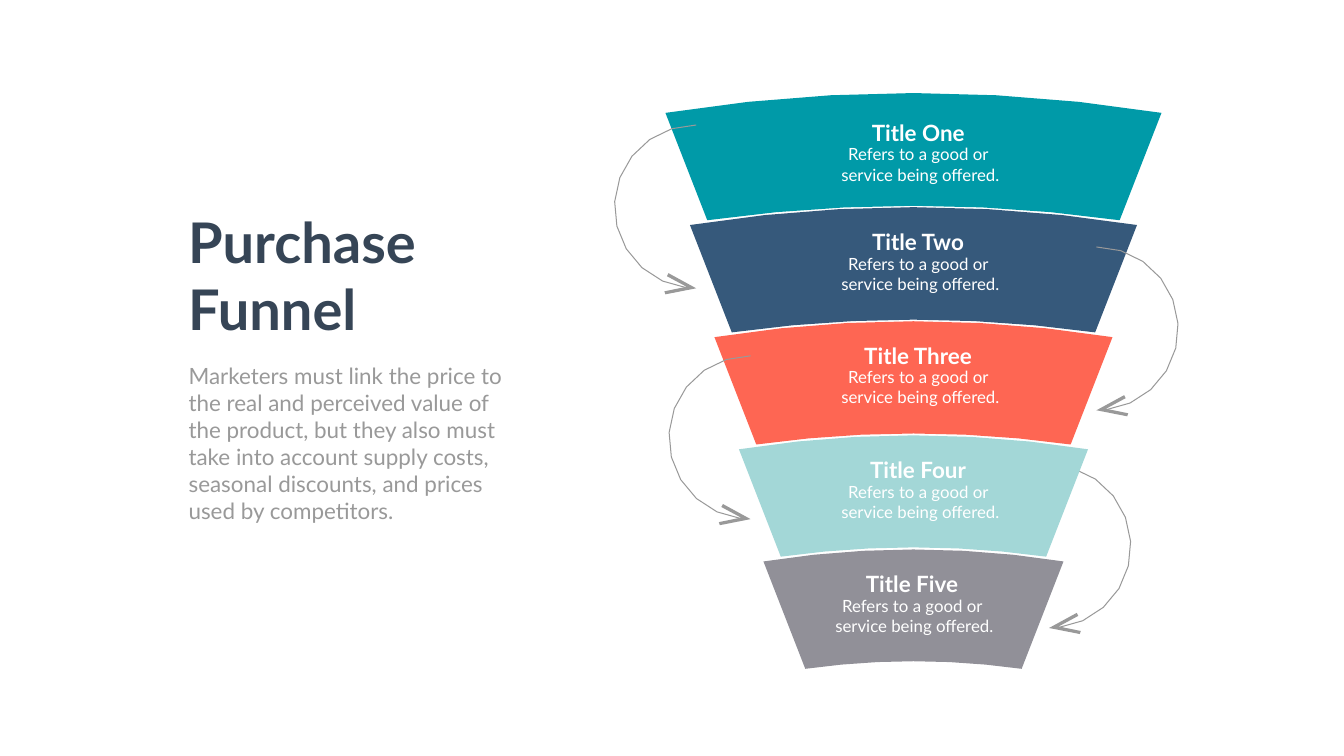
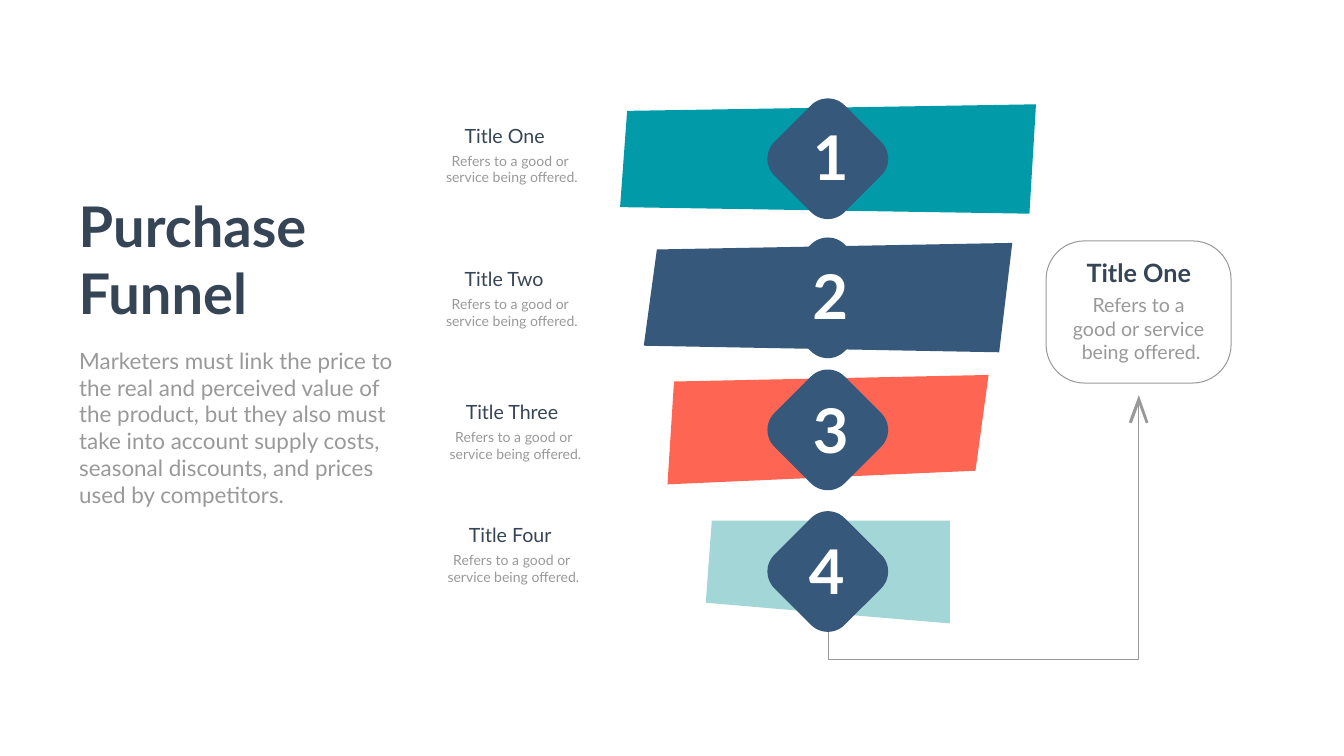
from math import cos, radians, sin

from lxml import etree
from pptx import Presentation
from pptx.dml.color import RGBColor
from pptx.enum.shapes import MSO_SHAPE
from pptx.enum.text import MSO_ANCHOR, MSO_AUTO_SIZE, PP_ALIGN
from pptx.oxml.ns import qn
from pptx.util import Inches, Pt

ROUND = MSO_SHAPE.ROUNDED_RECTANGLE
TOP, FIXED = MSO_ANCHOR.TOP, MSO_AUTO_SIZE.NONE
LEFT, MID, RIGHT = PP_ALIGN.LEFT, PP_ALIGN.CENTER, PP_ALIGN.RIGHT

# Shared look: the grid is 26.66 columns by 15 rows of one-inch cells
COLS, ROWS, CELL = 26.66, 15, Inches(1)
FONT, THIN = "Lato", Pt(1.45)
HUES = {
    "teal": "009AA8", "navy": "36597B", "coral": "FE6653", "mint": "A3D7D7",
    "stone": "919098", "ink": "364556", "gray": "999999", "white": "FFFFFF",
}
RGB = {name: RGBColor.from_string(code) for name, code in HUES.items()}
BANDS = ["teal", "navy", "coral", "mint", "stone"]
NAMES = ["Title One", "Title Two", "Title Three", "Title Four", "Title Five"]
NOTE = ["Refers to a good or ", "service being offered."]
HEAD = "Purchase Funnel"
BODY = ("Marketers must link the price to the real and perceived value of the "
        "product, but they also must take into account supply costs, seasonal "
        "discounts, and prices used by competitors.")


def write(shape, at, lines, size, hue, bold=False, align=MID, wrap=False):
    """Place a text shape on the grid and fill it, one paragraph a line."""
    shape.left, shape.top, shape.width, shape.height = [int(v * CELL) for v in at]
    frame = shape.text_frame
    frame.text = "\n".join(lines)
    frame.word_wrap, frame.auto_size, frame.vertical_anchor = wrap, FIXED, TOP
    for para in frame.paragraphs:
        para.alignment = align
        para.space_before = Pt(0)
        font = para.font
        font.name, font.size, font.bold = FONT, Pt(size), bold
        font.color.rgb = RGB[hue]


def form(slide, dots, fill=None):
    """Draw a filled outline, or an open gray line when no fill is given."""
    dots = [(int(x * CELL), int(y * CELL)) for x, y in dots]
    pen = slide.shapes.build_freeform(*dots[0], scale=1.0)
    pen.add_line_segments(dots[1:], close=fill is not None)
    shape = pen.convert_to_shape()
    shape.shadow.inherit = False
    if fill:
        shape.fill.solid()
        shape.fill.fore_color.rgb = RGB[fill]
        shape.line.fill.background()
    else:
        shape.fill.background()
        shape.line.color.rgb = RGB["gray"]
        shape.line.width = THIN


deck = Presentation()
deck.slide_width, deck.slide_height = int(COLS * CELL), ROWS * CELL

# Title and body of both slides
for x, y in [(3.63, 4.06), (1.46, 3.75)]:
    slide = deck.slides.add_slide(deck.slide_layouts[1])
    write(slide.shapes.title, (x, y, 5.57, 2.79), [HEAD], 80, "ink", True, LEFT, True)
    body = slide.placeholders[1]
    write(body, (x + 0.01, y + 3.08, 6.63, 3.33), [BODY], 32, "gray", False, LEFT, True)
    props = body.text_frame.paragraphs[0]._p.get_or_add_pPr()
    props.set("marL", "0")
    props.set("indent", "0")
    props.find(qn("a:defRPr")).addprevious(etree.Element(qn("a:buNone")))
first, second = deck.slides

# Slide 1: curved bands, with the arrows lying under the last two
AXIS, STEP = 18.12, 2.225
BEND = [n / 6 for n in range(7)]
TURN = [radians(83 - 173 * n / 10) for n in range(11)]
ARCS = [(-1, 13.81, 4.1), (1, 21.75, 6.52), (-1, 14.89, 8.68), (1, 20.81, 10.84)]
TIP = [(0, 0), (0.55, -0.3), (0.58, -0.24), (0.19, -0.03), (0.63, 0.06), (0.61, 0.12)]
RAD = 1.62
for i, hue in enumerate(BANDS):
    if i == 3:
        for side, x, y in ARCS:
            form(first, [(x + side * RAD * cos(a), y + RAD * sin(a)) for a in TURN])
            form(first, [(x + side * dx, y + RAD + dy) for dx, dy in TIP], "gray")
    edges = []
    for half, y, rise in [(4.92, 2.24, 0.08), (4.09, 4.37, 0.07)]:
        half -= 0.486 * i
        edges.append([(AXIS + half * (2 * t - 1),
                       y + STEP * i - 4 * t * (1 - t) * rise * half) for t in BEND])
    form(first, edges[0] + edges[1][::-1], hue)

# Slide 1: band texts
SPOTS = [(17.18, 2.31, 2.07), (17.16, 4.48, 2.1), (17.02, 6.73, 2.38),
         (17.14, 9.01, 2.14), (17.06, 11.27, 2.06)]
for name, (x, y, wide) in zip(NAMES, SPOTS):
    left = 16.44 if name == NAMES[-1] else 16.56
    write(first.shapes.add_textbox(0, 0, 0, 0), (left, y + 0.5, 3.39, 0.91),
          NOTE, 24, "white")
    write(first.shapes.add_textbox(0, 0, 0, 0), (x, y, wide, 0.64),
          [name], 32, "white", True)

# Slide 2: line and arrowhead up to the callout
form(second, [(16.43, 12.27), (16.43, 13.09), (22.59, 13.09), (22.59, 8.01)])
form(second, [(22.59 + dx, 7.84 + dy) for dx, dy in [
    (0, 0), (0.19, 0.54), (0.14, 0.56), (0, 0.18), (-0.14, 0.56), (-0.2, 0.54)]], "gray")

# Slide 2: callout
call = second.shapes.add_shape(ROUND, *[int(v * CELL) for v in (20.75, 4.78, 3.67, 2.82)])
call.adjustments[0] = 0.27
call.shadow.inherit = False
call.fill.background()
call.line.color.rgb = RGB["gray"]
call.line.width = THIN

# Slide 2: slanted slabs
SLABS = [
    [(20.42, 4.24), (12.3, 4.11), (12.44, 2.2), (20.55, 2.07)],
    [(19.82, 6.99), (12.77, 6.86), (13.03, 4.95), (20.08, 4.82)],
    [(13.24, 9.61), (19.35, 9.34), (19.61, 7.44), (13.37, 7.57)],
    [(18.84, 12.37), (14, 11.96), (14.12, 10.33), (18.84, 10.33)],
]
for slab, hue in zip(SLABS, BANDS):
    form(second, slab, hue)

# Slide 2: diamonds
SIDE = 1.97
for mid in [3.15, 5.91, 8.53, 11.34]:
    gem = second.shapes.add_shape(ROUND, *[int(v * CELL) for v in (
        16.42 - SIDE / 2, mid - SIDE / 2, SIDE, SIDE)])
    gem.adjustments[0] = 0.24
    gem.rotation = 45
    gem.shadow.inherit = False
    gem.fill.solid()
    gem.fill.fore_color.rgb = RGB["navy"]
    gem.line.fill.background()

# Slide 2: numbers
for i, (x, y) in enumerate([(15.92, 2.31), (15.91, 5.07), (15.92, 7.72), (15.84, 10.52)]):
    write(second.shapes.add_textbox(0, 0, 0, 0), (x, y, 1.01, 1.58),
          [str(i + 1)], 88, "white", True, RIGHT, True)

# Slide 2: callout text
write(second.shapes.add_textbox(0, 0, 0, 0), (21.16, 5.77, 2.95, 1.51),
      ["Refers to a ", "good or service ", "being offered."], 28, "gray")
write(second.shapes.add_textbox(0, 0, 0, 0), (21.44, 5.06, 2.3, 0.71),
      [NAMES[0]], 36, "ink", True)

# Slide 2: labels
LABELS = [(8.75, 9.1, 2.4, 1.82), (8.75, 9.08, 5.24, 1.84),
          (8.82, 9.11, 7.88, 2.09), (8.78, 9.18, 10.33, 1.88)]
for name, (left, x, y, wide) in zip(NAMES, LABELS):
    write(second.shapes.add_textbox(0, 0, 0, 0), (left, y + 0.57, 2.81, 0.77),
          NOTE, 20, "gray")
    write(second.shapes.add_textbox(0, 0, 0, 0), (x, y, wide, 0.57),
          [name], 28, "ink")

deck.save("out.pptx")
